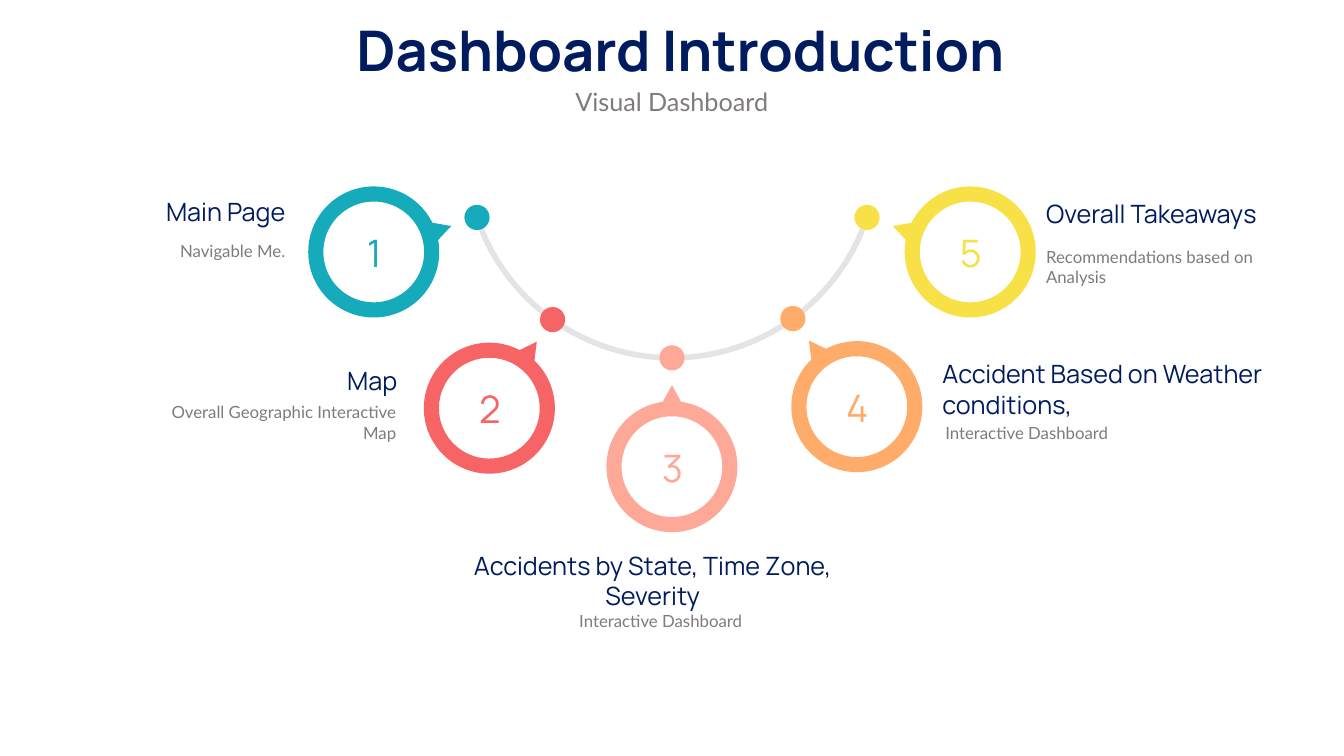
import math
from pptx import Presentation
from pptx import util as u
from pptx.dml.color import RGBColor
from pptx.enum import shapes, text
from pptx.oxml import ns

PX = 9144
NAVY = RGBColor(0x00, 0x1C, 0x5E)
GREY = RGBColor(0x7F, 0x7A, 0x7E)
TRACK = RGBColor(0xE5, 0xE4, 0xE5)
TEAL = RGBColor(0x16, 0xAB, 0xBA)
RED = RGBColor(0xF7, 0x64, 0x66)
PINK = RGBColor(0xFE, 0xA9, 0x98)
ORANGE = RGBColor(0xFF, 0xAB, 0x69)
YELLOW = RGBColor(0xF8, 0xE1, 0x46)
LEFT, CENTER, RIGHT = text.PP_ALIGN.LEFT, text.PP_ALIGN.CENTER, text.PP_ALIGN.RIGHT
TOP, MIDDLE = text.MSO_ANCHOR.TOP, text.MSO_ANCHOR.MIDDLE

SLIDE_SIZE = (12192000, 6858000)
HUB = (SLIDE_SIZE[0] / 2, 151 * PX)
TRACK_RADIUS, RING_RADIUS = 204, 312
OUTER, INNER, TIP = 65, 50, 81
DOT = 25


def polar(center, radius, degrees):
    angle = math.radians(degrees)
    return (center[0] + radius * PX * math.cos(angle),
            center[1] + radius * PX * math.sin(angle))


def curve(center, radius, start, sweep, pieces):
    turn = sweep / pieces
    reach = 4 / 3 * math.tan(math.radians(turn) / 4)
    lean = math.degrees(math.atan(reach))
    points = [polar(center, radius, start)]
    for piece in range(pieces):
        begin, end = start + piece * turn, start + (piece + 1) * turn
        points += [polar(center, radius * math.hypot(1, reach), begin + lean),
                   polar(center, radius * math.hypot(1, reach), end - lean),
                   polar(center, radius, end)]
    return points


deck = Presentation()
deck.slide_width, deck.slide_height = [u.Emu(side) for side in SLIDE_SIZE]
slide = deck.slides.add_slide(deck.slide_layouts[0])
heading, subheading = slide.placeholders
writings = [
    (heading, (318, 10, 714, 77), "Dashboard Introduction", 40, "Manrope", NAVY, CENTER),
    (subheading, (146, 81, 1041, 40), "Visual Dashboard", 18, "Lato", GREY, CENTER),
]

steps = [
    (161.5, TEAL, RIGHT, "Main Page", (130, 190, 163, 40), "Navigable Me.", (36, 234, 257, 30)),
    (125.5, RED, RIGHT, "Map", (241, 358, 163, 40),
     "Overall Geographic Interactive Map", (147, 394, 256, 50)),
    (90, PINK, CENTER, "Accidents by State, Time Zone, Severity", (448, 541, 399, 71),
     "Interactive Dashboard", (485, 601, 341, 30)),
    (54, ORANGE, LEFT, "Accident Based on Weather conditions,", (925, 351, 382, 71),
     "Interactive Dashboard", (928, 414, 256, 30)),
    (18.5, YELLOW, LEFT, "Overall Takeaways", (1028, 192, 290, 40),
     "Recommendations based on Analysis", (1028, 240, 256, 50)),
]

track_points = curve(HUB, TRACK_RADIUS, 22, 136, 2)
track_outline = slide.shapes.build_freeform(*track_points[0])
track_outline.add_line_segments(track_points[1:], close=False)
track = track_outline.convert_to_shape()
track.shadow.inherit = False
track.fill.background()
track.line.color.rgb = TRACK
track.line.width = u.Pt(4)
curved = [track]

for number, (degrees, color, align, topic, topic_place, detail, detail_place) in enumerate(steps, 1):
    dot_x, dot_y = polar(HUB, TRACK_RADIUS, degrees)
    dot = slide.shapes.add_shape(
        shapes.MSO_SHAPE.OVAL, round(dot_x - DOT * PX / 2), round(dot_y - DOT * PX / 2), DOT * PX, DOT * PX)

    center = polar(HUB, RING_RADIUS, degrees)
    inward = degrees + 180
    hole = curve(center, INNER, inward, -360, 4)
    ring_outline = slide.shapes.build_freeform(*polar(center, TIP, inward))
    ring_outline.add_line_segments(curve(center, OUTER, inward + 8, 344, 8), close=True)
    ring_outline.move_to(*hole[0])
    ring_outline.add_line_segments(hole[1:], close=True)
    ring = ring_outline.convert_to_shape()
    curved.append(ring)

    for part in (dot, ring):
        part.shadow.inherit = False
        part.fill.solid()
        part.fill.fore_color.rgb = color
        part.line.fill.background()

    number_place = (center[0] / PX - 60, center[1] / PX - 25, 121, 51)
    writings += [
        (None, number_place, str(number), 27, "Manrope", color, CENTER),
        (None, detail_place, detail, 12, "Lato", GREY, align),
        (None, topic_place, topic, 18, "Manrope", NAVY, align),
    ]

for outline in curved:
    for contour in outline._element.iter(ns.qn("a:path")):
        runs = [[]]
        for stroke in contour:
            if stroke.tag == ns.qn("a:lnTo"):
                runs[-1].append(stroke)
            else:
                runs.append([])
        for run in runs:
            for first in range(len(run) % 3, len(run), 3):
                bend = contour.makeelement(ns.qn("a:cubicBezTo"))
                run[first].addprevious(bend)
                for stroke in run[first:first + 3]:
                    bend.append(stroke[0])
                    contour.remove(stroke)

for holder, place, words, size, font, color, align in writings:
    box = holder or slide.shapes.add_textbox(0, 0, 0, 0)
    box.left, box.top, box.width, box.height = [u.Emu(round(n * PX)) for n in place]
    frame = box.text_frame
    frame.text = words
    frame_format = {"word_wrap": box is not heading, "auto_size": text.MSO_AUTO_SIZE.NONE, "vertical_anchor": TOP}
    if words.isdigit():
        frame_format["vertical_anchor"] = MIDDLE
        for side in ("left", "top", "right", "bottom"):
            frame_format[f"margin_{side}"] = u.Emu(3 * PX)
    for name, value in frame_format.items():
        setattr(frame, name, value)
    paragraph = frame.paragraphs[0]
    paragraph.alignment = align
    paragraph.space_before = u.Pt(0)
    for name, value in {"size": u.Pt(size), "name": font, "bold": box is heading}.items():
        setattr(paragraph.font, name, value)
    paragraph.font.color.rgb = color

deck.save("out.pptx")
